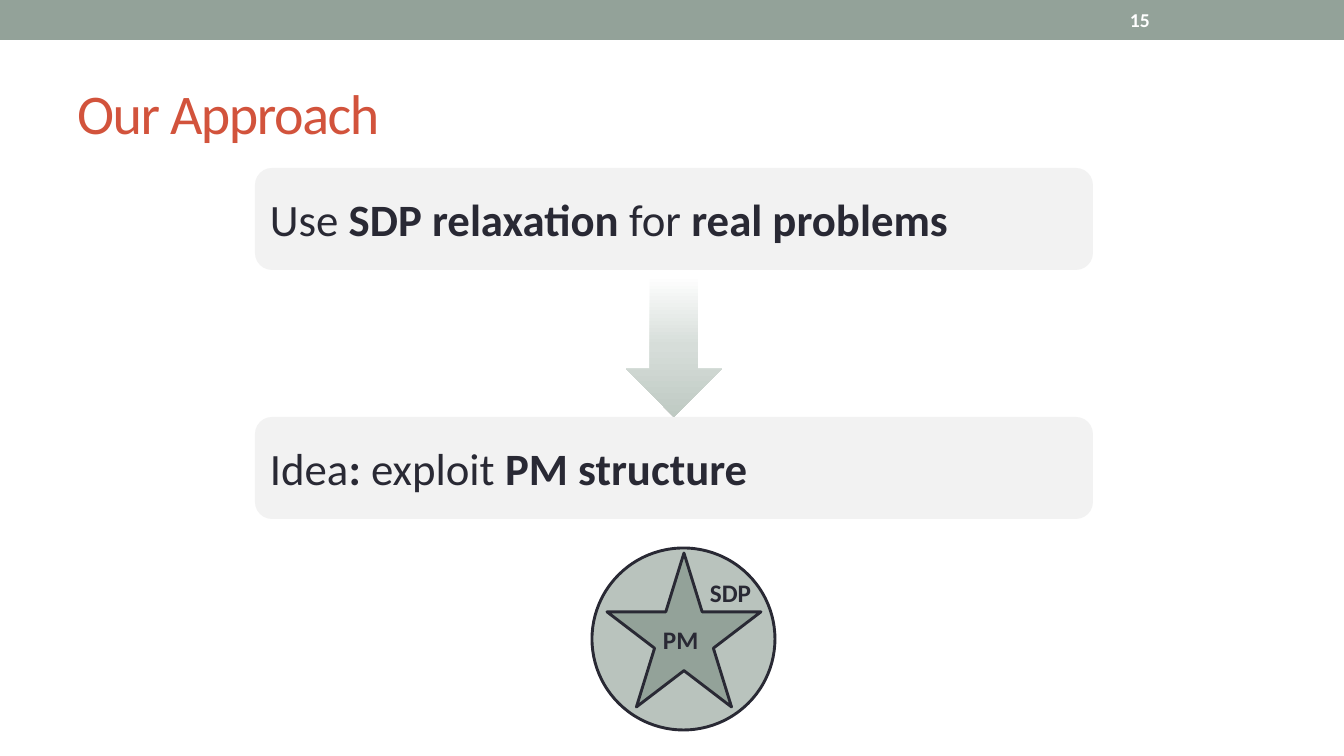
from lxml.etree import SubElement
from pptx import Presentation
from pptx.dml.color import RGBColor
from pptx.enum.shapes import MSO_SHAPE as Preset
from pptx.enum.text import MSO_ANCHOR as Anchor, PP_ALIGN as Align
from pptx.oxml.ns import qn
from pptx.util import Emu, Pt

FONT = "Calibri"
INK, SAGE, PALE_SAGE = "292934", "93A299", "B9C3BD"
RED, GREY, WHITE = "D2533C", "F2F2F2", "FFFFFF"
ARROW_STOPS = [(0, WHITE), (50, "D6DDD9"), (100, "BFCAC3")]


def px(length):
    return Emu(round(length * 914400 / 100.8))


def color(hex_string):
    return RGBColor.from_string(hex_string)


def write(frame, runs, size, ink, anchor=Anchor.MIDDLE, wrap=True):
    frame.word_wrap = wrap
    frame.vertical_anchor = anchor
    para = frame.paragraphs[0]
    para.alignment = Align.LEFT
    for text, bold in runs:
        run = para.add_run()
        run.text = text
        run.font.name = FONT
        run.font.size = Pt(size)
        run.font.bold = bold
        run.font.color.rgb = color(ink)
    return para


def add_preset(shapes, preset, box, fill=None, line=None):
    shape = shapes.add_shape(preset, *map(px, box))
    shape.shadow.inherit = False
    if fill:
        shape.fill.solid()
        shape.fill.fore_color.rgb = color(fill)
    if line:
        shape.line.color.rgb = color(line)
        shape.line.width = Pt(2.08)
    else:
        shape.line.fill.background()
    return shape


def add_text(shapes, box, runs, size, ink, **options):
    text_box = shapes.add_textbox(*map(px, box))
    write(text_box.text_frame, runs, size, ink, **options)


def add_header(page, box, number):
    left, top, width, height = box
    add_preset(page.shapes, Preset.RECTANGLE, box, SAGE)
    add_text(page.shapes, (left + 1120, top + 2, 157, height - 4),
             [(number, True)], 14, WHITE)


def add_title(page, box, text):
    title = page.shapes.title
    title.left, title.top, title.width, title.height = map(px, box)
    para = write(title.text_frame, [(text, False)], 40, RED)
    para.runs[0].font._element.set("spc", "-100")


def add_arrow(page, box):
    arrow = add_preset(page.shapes, Preset.DOWN_ARROW, box)
    arrow.fill.gradient()
    arrow.fill.gradient_angle = 270
    stop_list = arrow._element.spPr.find(qn("a:gradFill")).find(qn("a:gsLst"))
    for stop in list(stop_list):
        stop_list.remove(stop)
    for percent, hex_string in ARROW_STOPS:
        stop = SubElement(stop_list, qn("a:gs"), pos=str(percent * 1000))
        SubElement(stop, qn("a:srgbClr"), val=hex_string)


def add_steps(page, box, steps):
    left, top, width, height = box
    card_height, arrow_width, arrow_height = 102, 96, 142
    pitch = (height - card_height) // (len(steps) - 1)
    for index, runs in enumerate(steps):
        card_top = top + index * pitch
        card = add_preset(page.shapes, Preset.ROUNDED_RECTANGLE,
                          (left, card_top, width, card_height), GREY)
        write(card.text_frame, runs, 32, INK)
        if index:
            add_arrow(page, (left + (width - arrow_width) // 2, card_top - arrow_height,
                             arrow_width, arrow_height))


def add_star_diagram(page, box):
    left, top, width, height = box
    shapes = page.shapes.add_group_shape().shapes
    add_preset(shapes, Preset.OVAL, box, PALE_SAGE, INK)
    add_preset(shapes, Preset.STAR_5_POINT, (left + 15, top + 5, 154, 154), SAGE, INK)
    for label, across, down, label_width in [("SDP", 108, 24, 62), ("PM", 61, 71, 56)]:
        add_text(shapes, (left + across, top + down, label_width, 40),
                 [(label, True)], 18, INK, anchor=Anchor.TOP, wrap=False)


def main():
    deck = Presentation()
    deck.slide_width, deck.slide_height = px(1344), px(756)
    page = deck.slides.add_slide(deck.slide_layouts[5])
    add_header(page, (0, 0, 1344, 40), "15")
    add_title(page, (67, 58, 1210, 109), "Our Approach")
    add_steps(page, (255, 168, 838, 351), [
        [("Use", False), (" SDP relaxation ", True), ("for", False), (" real problems", True)],
        [("Idea", False), (": ", True), ("exploit ", False), ("PM structure", True)],
    ])
    add_star_diagram(page, (592, 548, 183, 182))
    deck.save("out.pptx")


if __name__ == "__main__":
    main()
